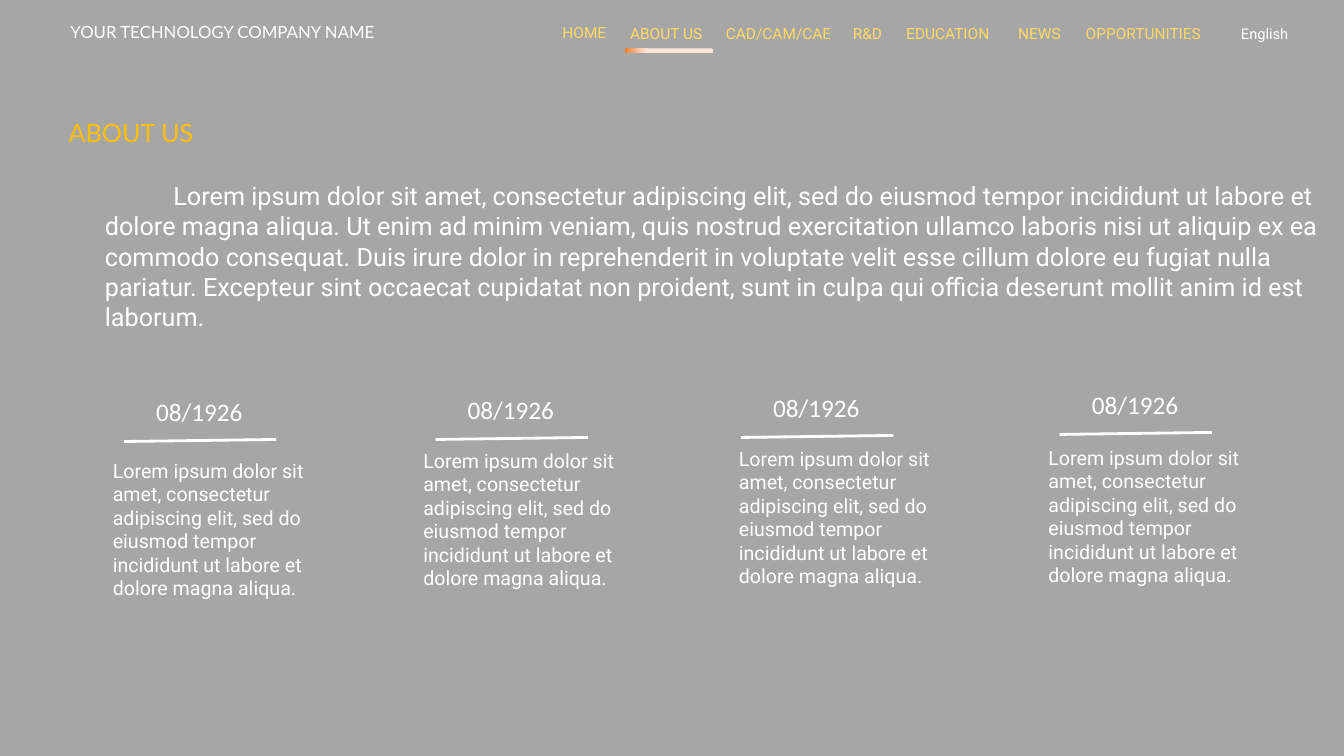
"""Builds the About Us slide with its menu, introduction and four milestones."""
from copy import deepcopy
from dataclasses import dataclass

from pptx import Presentation
from pptx.dml.color import RGBColor
from pptx.enum.shapes import MSO_CONNECTOR, MSO_SHAPE
from pptx.enum.text import MSO_ANCHOR, MSO_AUTO_SIZE, PP_ALIGN
from pptx.oxml import parse_xml
from pptx.oxml.ns import nsdecls, qn
from pptx.util import Inches, Pt

LEFT = PP_ALIGN.LEFT
TOP = MSO_ANCHOR.TOP
GROW = MSO_AUTO_SIZE.SHAPE_TO_FIT_TEXT
PILL = MSO_SHAPE.ROUNDED_RECTANGLE
LINE = MSO_CONNECTOR.STRAIGHT


@dataclass(frozen=True)
class Theme:
    back: str = "A6A6A6"
    white: str = "FFFFFF"
    gold: str = "FFC000"
    menu: str = "FFD966"
    fade: tuple = ((0, "FBE5D6"), (0.74, "FBE5D6"), (0.83, "F8CBAD"), (1, "ED7D31"))
    sans: str = "Roboto"
    head: str = "Lato"
    date: str = "Calibri"
    big: float = 18
    mid: float = 14
    brand: float = 12
    nav: float = 11
    lang: float = 10.5
    rule: float = 2


def write(shape, text, font, size, color, indent=0):
    frame = shape.text_frame
    frame.word_wrap = True
    frame.auto_size = GROW
    frame.vertical_anchor = TOP
    para = frame.paragraphs[0]
    para.alignment = LEFT
    para.space_before = Pt(0)
    run = para.add_run()
    run.text = text
    run.font.name = font
    run.font.size = Pt(size)
    run.font.color.rgb = RGBColor.from_string(color)
    if indent:
        props = para._p.get_or_add_pPr()
        props.set("marL", "0")
        props.set("indent", str(Inches(indent)))
        props.append(parse_xml(f"<a:buNone {nsdecls('a')}/>"))


class Page:
    def __init__(self, slide, theme):
        self.slide = slide
        self.theme = theme
        fill = slide.background.fill
        fill.solid()
        fill.fore_color.rgb = RGBColor.from_string(theme.back)

    def text(self, box, text, **style):
        shape = self.slide.shapes.add_textbox(*map(Inches, box))
        write(shape, text, **style)

    def holder(self, index, box, text, **style):
        shape = self.slide.placeholders[index]
        shape.left, shape.top, shape.width, shape.height = map(Inches, box)
        write(shape, text, **style)

    def bar(self, box):
        shape = self.slide.shapes.add_shape(PILL, *map(Inches, box))
        shape.shadow.inherit = False
        shape.line.fill.background()
        fill = shape.fill
        fill.gradient()
        fill.gradient_angle = 180
        stops = shape._element.spPr.find(".//" + qn("a:gsLst"))
        while len(stops) < len(self.theme.fade):
            stops.append(deepcopy(stops[-1]))
        for stop, (place, color) in zip(fill.gradient_stops, self.theme.fade):
            stop.position = place
            stop.color.rgb = RGBColor.from_string(color)

    def rule(self, *ends):
        line = self.slide.shapes.add_connector(LINE, *map(Inches, ends))
        line.line.color.rgb = RGBColor.from_string(self.theme.white)
        line.line.width = Pt(self.theme.rule)
        line._element.spPr.append(parse_xml(f"<a:effectLst {nsdecls('a')}/>"))


MENU = [
    ("HOME", 5.48, 0.18, 0.87),
    ("ABOUT US", 6.15, 0.19, 0.99),
    ("CAD/CAM/CAE", 7.1, 0.19, 1.32),
    ("R&D", 8.36, 0.19, 0.6),
    ("EDUCATION", 8.89, 0.19, 1.1),
    ("NEWS", 10, 0.19, 0.79),
    ("OPPORTUNITIES", 10.67, 0.19, 1.53),
]
SHORT = (
    "Lorem ipsum dolor sit amet, consectetur adipiscing elit, sed do eiusmod "
    "tempor incididunt ut labore et dolore magna aliqua."
)
LONG = SHORT + (
    " Ut enim ad minim veniam, quis nostrud exercitation ullamco laboris nisi ut "
    "aliquip ex ea commodo consequat. Duis irure dolor in reprehenderit in "
    "voluptate velit esse cillum dolore eu fugiat nulla pariatur. Excepteur sint "
    "occaecat cupidatat non proident, sunt in culpa qui officia deserunt mollit "
    "anim id est laborum."
)
STEPS = [
    (1.23, 4.38, 1.02, 4.5),
    (4.32, 4.36, 4.1, 4.4),
    (7.35, 4.34, 7.23, 4.38),
    (10.51, 4.31, 10.3, 4.37),
]


def main():
    theme = Theme()
    deck = Presentation()
    deck.slide_width = Inches(13.33)
    deck.slide_height = Inches(7.5)
    page = Page(deck.slides.add_slide(deck.slide_layouts[1]), theme)

    page.text((0.6, 0.17, 4.05, 0.3), "YOUR TECHNOLOGY COMPANY NAME",
              font=theme.head, size=theme.brand, color=theme.white)
    for name, left, top, width in MENU:
        page.text((left, top, width, 0.29), name,
                  font=theme.sans, size=theme.nav, color=theme.menu)
    page.text((12.21, 0.2, 0.78, 0.28), "English",
              font=theme.sans, size=theme.lang, color=theme.white)
    page.bar((6.2, 0.48, 0.87, 0.05))

    page.holder(0, (0.58, 1.11, 1.95, 0.4), "ABOUT US",
                font=theme.head, size=theme.big, color=theme.gold)
    page.holder(1, (0.94, 1.74, 12.24, 1.31), LONG, indent=0.68,
                font=theme.sans, size=theme.big, color=theme.white)

    for left, top, side, base in STEPS:
        page.rule(left, top, left + 1.51, top - 0.02)
        page.text((left + 0.22, top - 0.5, 1.58, 0.4), "08/1926",
                  font=theme.date, size=theme.big, color=theme.white)
        page.text((side, base, 2.45, 1.51), SHORT,
                  font=theme.sans, size=theme.mid, color=theme.white)

    deck.save("out.pptx")


if __name__ == "__main__":
    main()
